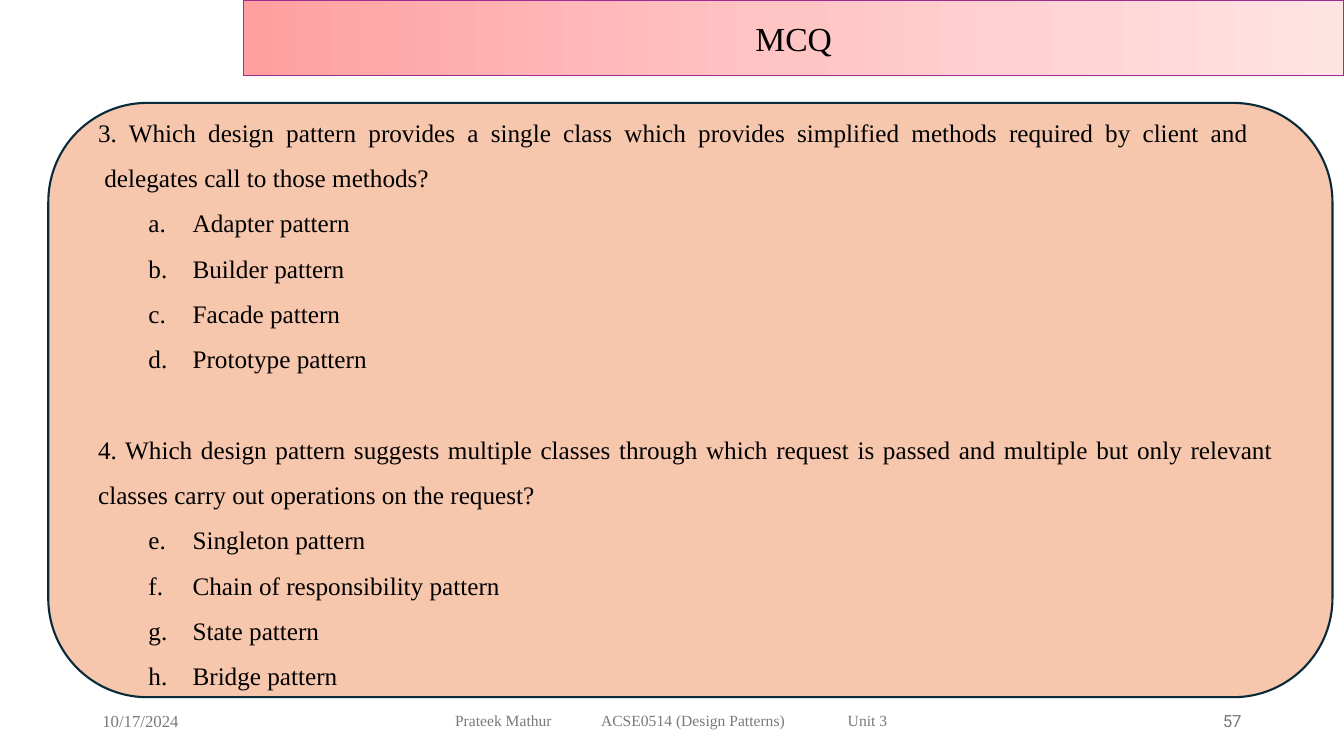
"""Build a multiple-choice slide on design patterns."""
from copy import deepcopy

from lxml import etree
from pptx import Presentation, util as u
from pptx.dml.color import RGBColor
from pptx.enum import shapes, text
from pptx.oxml.ns import qn

PX = 9525
SERIF = "Times New Roman"
GREY = "797979"


def color(value):
    return RGBColor.from_string(value)


def style(paragraph, size, font_name, font_color, align):
    paragraph.alignment = align
    for run in paragraph.runs:
        run.font.size = u.Pt(size)
        run.font.name = font_name
        run.font.color.rgb = color(font_color)


presentation = Presentation()
presentation.slide_width = 1280 * PX
presentation.slide_height = 720 * PX
slide = presentation.slides.add_slide(presentation.slide_layouts[6])

panel = slide.shapes.add_shape(
    shapes.MSO_SHAPE.ROUNDED_RECTANGLE, 46 * PX, 98 * PX, 1223 * PX, 566 * PX)
panel.shadow.inherit = False
panel.fill.solid()
panel.fill.fore_color.rgb = color("F6C6AD")
panel.line.color.rgb = color("092A39")
panel.line.width = u.Pt(1.5)

footers = [
    (88, 288, "10/17/2024", 12, SERIF, text.PP_ALIGN.LEFT),
    (424, 432, "Prateek Mathur\tACSE0514 (Design Patterns)\tUnit 3", 11.1, SERIF, text.PP_ALIGN.LEFT),
    (904, 288, "57", 12, "Roboto", text.PP_ALIGN.RIGHT),
]
for left, width, wording, size, font_name, align in footers:
    footer = slide.shapes.add_textbox(left * PX, 667 * PX, width * PX, 38 * PX)
    footer.text_frame.word_wrap = True
    footer.text_frame.vertical_anchor = text.MSO_ANCHOR.MIDDLE
    footer.text_frame.text = wording
    paragraph = footer.text_frame.paragraphs[0]
    style(paragraph, size, font_name, GREY, align)
    if "\t" in wording:
        tabs = etree.SubElement(paragraph._p.get_or_add_pPr(), qn("a:tabLst"))
        for position in (139, 374):
            etree.SubElement(tabs, qn("a:tab"), pos=str(position * PX), algn="l")

banner = slide.shapes.add_shape(
    shapes.MSO_SHAPE.RECTANGLE, 232 * PX, 0, 1048 * PX, 72 * PX)
banner.shadow.inherit = False
banner.fill.gradient()
banner.fill.gradient_angle = 0
stop_list = banner.element.spPr.find(qn("a:gradFill")).find(qn("a:gsLst"))
stop_list.append(deepcopy(stop_list[0]))
gradient = [(0, "FFA0A0"), (0.5, "FFC5C5"), (1, "FFE3E3")]
for stop, (position, stop_color) in zip(banner.fill.gradient_stops, gradient):
    stop.position = position
    stop.color.rgb = color(stop_color)
banner.line.color.rgb = color("A02B93")
banner.line.width = u.Pt(1)
banner.text_frame.vertical_anchor = text.MSO_ANCHOR.MIDDLE
banner.text_frame.text = "MCQ"
style(banner.text_frame.paragraphs[0], 24, SERIF, "000000", text.PP_ALIGN.CENTER)

questions = [
    ("3. Which design pattern provides a single class which provides simplified methods "
     "required by client and  \v delegates call to those methods?",
     ["Adapter pattern", "Builder pattern", "Facade pattern", "Prototype pattern"]),
    ("4. Which design pattern suggests multiple classes through which request is passed "
     "and multiple but only relevant classes carry out operations on the request?",
     ["Singleton pattern", "Chain of responsibility pattern", "State pattern", "Bridge pattern"]),
]
body = slide.shapes.add_textbox(84 * PX, 92 * PX, 1138 * PX, 571 * PX)
frame = body.text_frame
frame.word_wrap = True
frame.auto_size = text.MSO_AUTO_SIZE.SHAPE_TO_FIT_TEXT
frame.vertical_anchor = text.MSO_ANCHOR.MIDDLE
first_letter = 1
for question, answers in questions:
    for index, wording in enumerate([question] + answers):
        is_first = first_letter == 1 and index == 0
        paragraph = frame.paragraphs[0] if is_first else frame.add_paragraph()
        paragraph.text = wording
        paragraph.line_spacing = 1.5
        style(paragraph, 18, SERIF, "000000", text.PP_ALIGN.JUSTIFY)
        if index:
            paragraph.level = 1
            properties = paragraph._p.get_or_add_pPr()
            properties.set("marL", str(90 * PX))
            properties.set("indent", str(-42 * PX))
            etree.SubElement(properties, qn("a:buFont"), typeface="+mj-lt")
            etree.SubElement(properties, qn("a:buAutoNum"),
                             type="alphaLcPeriod", startAt=str(first_letter))
        elif not is_first:
            paragraph.space_before = u.Pt(32)
    first_letter += len(answers)

number_of_slides = len(presentation.slides)
presentation.save("out.pptx")
